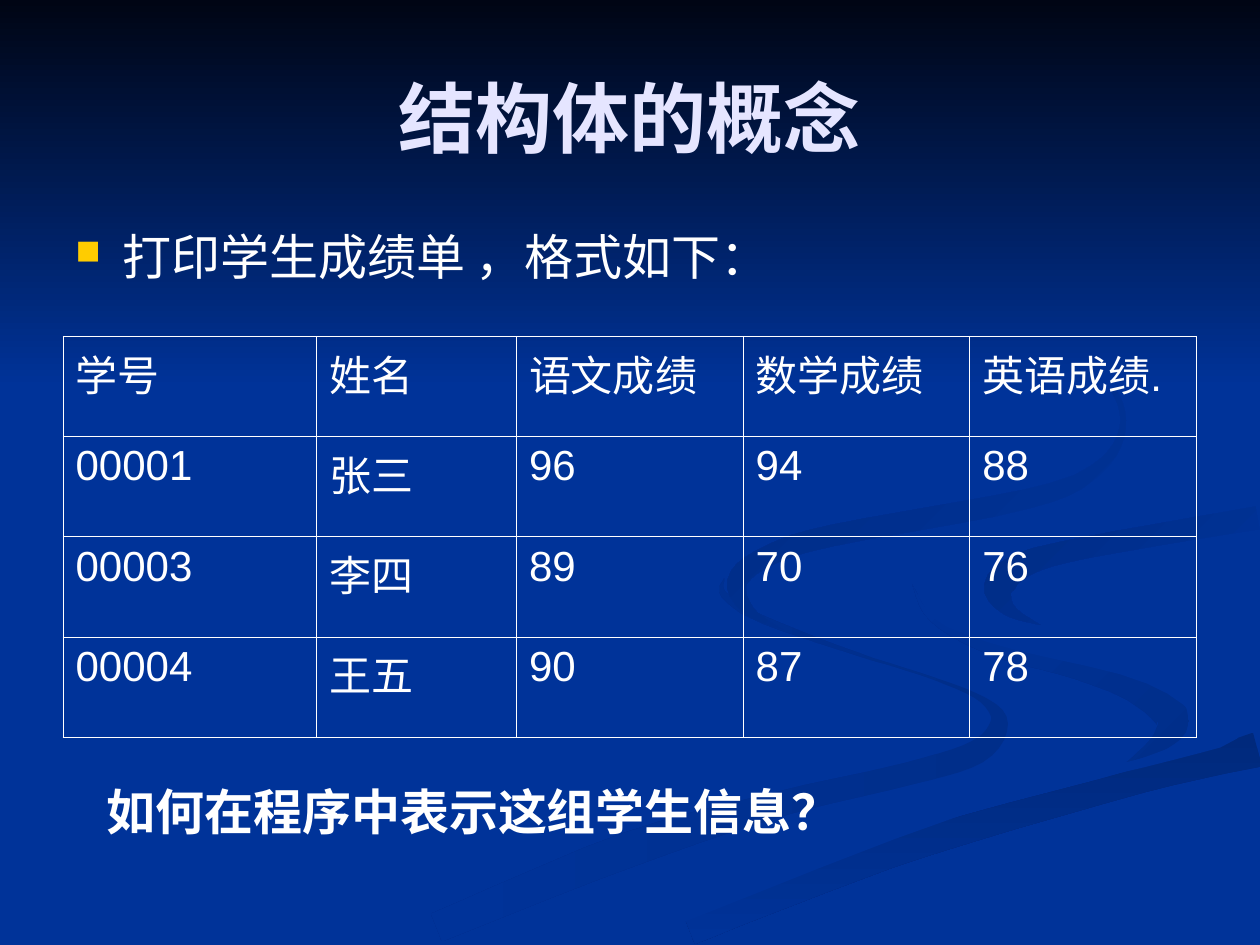
from dataclasses import dataclass
from math import hypot

from lxml.etree import SubElement
from pptx import Presentation
from pptx.dml.color import RGBColor
from pptx.enum.shapes import MSO_SHAPE as Preset
from pptx.enum.text import MSO_ANCHOR as Anchor, PP_ALIGN as Align
from pptx.oxml.ns import qn
from pptx.util import Cm, Pt

BLUE = RGBColor(0x00, 0x33, 0x99)
NIGHT = RGBColor(0x00, 0x05, 0x14)
DIM_BLUE = RGBColor(0x00, 0x2E, 0x8A)
DARK_BLUE = RGBColor(0x00, 0x29, 0x7C)
SHADE_BLUE = RGBColor(0x00, 0x2C, 0x85)
DEEP_BLUE = RGBColor(0x00, 0x2B, 0x81)
LAVENDER = RGBColor(0xE5, 0xE5, 0xFF)
WHITE = RGBColor(0xFF, 0xFF, 0xFF)
GOLD = RGBColor(0xFF, 0xCC, 0x00)

# Gradient directions, counter-clockwise in degrees.
LEFTWARD, UP_LEFT, DOWNWARD = 180, 135, 270

SLIDE_WIDTH, SLIDE_HEIGHT = 25.4, 19.05
MARGIN = 1.27
CONTENT_WIDTH = SLIDE_WIDTH - 2 * MARGIN
BAND_HEIGHT = 7.82
STEPS_PER_BEND = 5
UNITS_PER_CM = 100


@dataclass
class Ribbon:
    """A curved band: its spine holds (x, y, thickness) in cm at each bend."""
    spine: list
    first_color: RGBColor
    last_color: RGBColor
    direction: int = LEFTWARD


LEFT_RIBBON = Ribbon(
    [(14.6, 11.66, 0), (14.6, 12, 0.13), (15.4, 12.5, 0.15),
     (17.27, 13.18, 0.06), (18.8, 13.67, 0.05), (19.8, 14.1, 0.13),
     (20.14, 14.58, 0.36), (19.69, 15.16, 0.48), (18.3, 15.6, 0.46),
     (15.75, 16.2, 0.5), (12.7, 17.12, 0.7), (8.8, 18.7, 0.6)],
    DIM_BLUE, BLUE, LEFTWARD)
RIGHT_RIBBON = Ribbon(
    [(18.39, 11.79, 0), (18.8, 12.47, 0.13), (20, 13.06, 0.3),
     (21.7, 13.5, 0.38), (22.85, 13.9, 0.5), (23.62, 14.45, 0.68),
     (23.4, 14.94, 0.4), (22.71, 15.37, 0)],
    DIM_BLUE, BLUE, UP_LEFT)
LOWER_SWEEP = Ribbon(
    [(25.35, 15.11, 0.7), (22.94, 15.75, 0.5), (18.8, 16.92, 0.58),
     (16.5, 17.73, 0.6), (13.9, 18.75, 0.6)],
    DARK_BLUE, BLUE, DOWNWARD)
MAIN_RIBBON = Ribbon(
    [(25.3, 10.03, 0.4), (20.8, 10.8, 0.43), (19.15, 11.7, 1.3),
     (20.05, 12.57, 0.8), (23.2, 13.54, 0.5), (24.64, 14.3, 1.2),
     (23.65, 15.19, 0.25), (19.3, 16.33, 0.25), (12.6, 18.85, 0.4)],
    BLUE, BLUE)
RIGHT_CURL = Ribbon(
    [(25.35, 10.44, 0.46), (21.84, 11.05, 0.43), (20.6, 11.4, 0.5),
     (20.14, 11.84, 0.6), (20.35, 12.3, 0.25), (20.98, 12.6, 0)],
    BLUE, SHADE_BLUE, UP_LEFT)
UPPER_RIBBON = Ribbon(
    [(19.35, 5.92, 0), (21.46, 7.04, 0.1), (22.4, 7.8, 0.1),
     (22.63, 8.64, 0.13), (22.1, 9.47, 0.25), (20.7, 10.06, 0.4),
     (16.76, 10.8, 0.43), (15.44, 11.23, 0.4), (14.86, 11.73, 0.4),
     (15.11, 12.32, 0.2), (15.8, 12.7, 0)],
    BLUE, DEEP_BLUE, UP_LEFT)
RIBBONS = [LEFT_RIBBON, RIGHT_RIBBON, LOWER_SWEEP,
           MAIN_RIBBON, RIGHT_CURL, UPPER_RIBBON]

SCORES = [
    ["学号", "姓名", "语文成绩", "数学成绩", "英语成绩."],
    ["00001", "张三", "96", "94", "88"],
    ["00003", "李四", "89", "70", "76"],
    ["00004", "王五", "90", "87", "78"],
]
SCORE_WIDTH = 4.57
COLUMN_WIDTHS = [5.11, 4.03] + [SCORE_WIDTH] * 3
ROW_HEIGHT = 2.02


def smooth(spine):
    """Run a Catmull-Rom curve through the bends of a spine."""
    padded = [spine[0], *spine, spine[-1]]
    curve = []
    for bends in zip(padded, padded[1:], padded[2:], padded[3:]):
        for step in range(STEPS_PER_BEND):
            t = step / STEPS_PER_BEND
            curve.append(tuple(
                b + t * (c - a) / 2 + t ** 2 * (a - 2.5 * b + 2 * c - d / 2)
                + t ** 3 * (1.5 * (b - c) + (d - a) / 2)
                for a, b, c, d in zip(*bends)))
    return curve + [spine[-1]]


def ribbon_outline(spine):
    """Go along one edge of the ribbon and back along the other."""
    curve = smooth(spine)
    before, after = [curve[0], *curve[:-1]], [*curve[1:], curve[-1]]
    near_edge, far_edge = [], []
    for (x, y, thickness), start, end in zip(curve, before, after):
        run, rise = end[0] - start[0], end[1] - start[1]
        reach = max(thickness, 0) / 2 / hypot(run, rise)
        near_edge.append((x - rise * reach, y + run * reach))
        far_edge.append((x + rise * reach, y - run * reach))
    return near_edge + far_edge[::-1]


def paint(shape, first_color, last_color, direction):
    shape.shadow.inherit = False
    shape.line.fill.background()
    if first_color == last_color:
        shape.fill.solid()
        shape.fill.fore_color.rgb = first_color
        return
    shape.fill.gradient()
    shape.fill.gradient_angle = direction
    for stop, color in zip(shape.fill.gradient_stops, (first_color, last_color)):
        stop.color.rgb = color


def add_ribbon(slide, ribbon):
    points = [(x * UNITS_PER_CM, y * UNITS_PER_CM)
              for x, y in ribbon_outline(ribbon.spine)]
    builder = slide.shapes.build_freeform(*points[0], scale=Cm(1) / UNITS_PER_CM)
    builder.add_line_segments(points[1:], close=True)
    paint(builder.convert_to_shape(), ribbon.first_color,
          ribbon.last_color, ribbon.direction)


def add_backdrop(slide):
    slide.background.fill.solid()
    slide.background.fill.fore_color.rgb = BLUE
    for ribbon in RIBBONS:
        add_ribbon(slide, ribbon)
    band = slide.shapes.add_shape(
        Preset.RECTANGLE, 0, 0, Cm(SLIDE_WIDTH), Cm(BAND_HEIGHT))
    paint(band, NIGHT, BLUE, DOWNWARD)


def set_font(paragraph, name, size, color=WHITE, bold=False):
    font = paragraph.font
    for key, value in {"name": name, "size": Pt(size), "bold": bold}.items():
        setattr(font, key, value)
    font.color.rgb = color


def format_title(slide, text):
    """Fill the title placeholder and bring it in front of the backdrop."""
    title = slide.shapes.title
    title.element.getparent().append(title.element)
    box = {"left": MARGIN, "top": 0.76, "width": CONTENT_WIDTH, "height": 3.18}
    for key, value in box.items():
        setattr(title, key, Cm(value))
    title.text_frame.text = text
    title.text_frame.vertical_anchor = Anchor.MIDDLE
    paragraph = title.text_frame.paragraphs[0]
    paragraph.alignment = Align.CENTER
    set_font(paragraph, "Times New Roman", 44, LAVENDER, bold=True)


def add_text(slide, text, left, top, width, height):
    box = slide.shapes.add_textbox(*map(Cm, (left, top, width, height)))
    box.text_frame.word_wrap = True
    box.text_frame.text = text
    return box.text_frame.paragraphs[0]


def add_bullet(paragraph, indent=0.95):
    properties = paragraph._p.get_or_add_pPr()
    properties.set("marL", str(Cm(indent)))
    properties.set("indent", str(-Cm(indent)))
    color = SubElement(properties, qn("a:buClr"))
    SubElement(color, qn("a:srgbClr"), val=str(GOLD))
    SubElement(properties, qn("a:buSzPct"), val="70000")
    SubElement(properties, qn("a:buChar"), char="■")


def add_borders(cell):
    properties = cell._tc.get_or_add_tcPr()
    for index, side in enumerate(("a:lnL", "a:lnR", "a:lnT", "a:lnB")):
        line = properties.makeelement(qn(side), {"w": str(Pt(0.45))})
        fill = SubElement(line, qn("a:solidFill"))
        SubElement(fill, qn("a:srgbClr"), val=str(WHITE))
        properties.insert(index, line)


def add_score_table(slide):
    table = slide.shapes.add_table(
        len(SCORES), len(COLUMN_WIDTHS), Cm(MARGIN), Cm(6.78),
        Cm(sum(COLUMN_WIDTHS)), Cm(ROW_HEIGHT * len(SCORES))).table
    table.first_row = table.horz_banding = False
    for column, width in zip(table.columns, COLUMN_WIDTHS):
        column.width = Cm(width)
    for row, values in zip(table.rows, SCORES):
        row.height = Cm(ROW_HEIGHT)
        for cell, value in zip(row.cells, values):
            cell.text = value
            cell.fill.background()
            add_borders(cell)
            set_font(cell.text_frame.paragraphs[0], "Arial", 24)


def main():
    presentation = Presentation()
    presentation.slide_width = Cm(SLIDE_WIDTH)
    presentation.slide_height = Cm(SLIDE_HEIGHT)
    slide = presentation.slides.add_slide(presentation.slide_layouts[5])
    add_backdrop(slide)
    format_title(slide, "结构体的概念")
    task = add_text(slide, "打印学生成绩单 ，格式如下：", MARGIN, 4.45, CONTENT_WIDTH, 2.34)
    add_bullet(task)
    set_font(task, "Times New Roman", 28)
    add_score_table(slide)
    question = add_text(slide, "如何在程序中表示这组学生信息？", 1.9, 15.62, 20.78, 1.45)
    set_font(question, "Arial", 28, bold=True)
    presentation.save("out.pptx")


if __name__ == "__main__":
    main()
